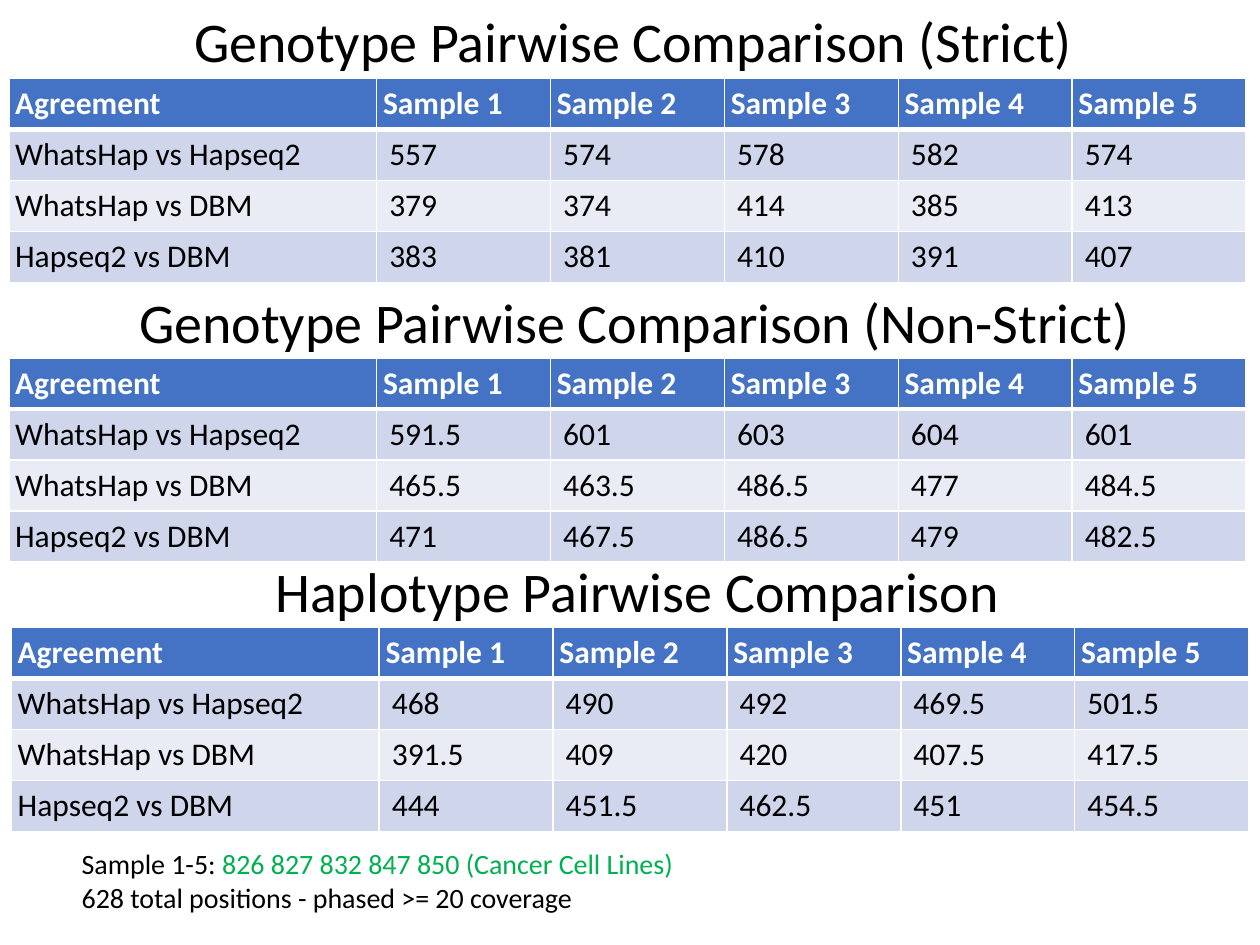
"""Build a slide of three pairwise comparison tables with a sample note."""
from lxml import etree
from pptx import Presentation
from pptx.dml.color import RGBColor
from pptx.enum.text import MSO_AUTO_SIZE, PP_ALIGN
from pptx.oxml.ns import qn
from pptx.util import Inches, Pt

CENTER, LEFT = PP_ALIGN.CENTER, PP_ALIGN.LEFT
FIT_SHAPE = MSO_AUTO_SIZE.SHAPE_TO_FIT_TEXT
BLACK = RGBColor(0x00, 0x00, 0x00)
WHITE = RGBColor(0xFF, 0xFF, 0xFF)
GREEN = RGBColor(0x00, 0xB0, 0x50)
HEADER = RGBColor(0x44, 0x72, 0xC4)
BANDS = [RGBColor(0xE9, 0xEB, 0xF5), RGBColor(0xCF, 0xD5, 0xEA)]

COLUMNS = ["Agreement"] + [f"Sample {n}" for n in range(1, 6)]
PAIRS = ["WhatsHap vs Hapseq2", "WhatsHap vs DBM", "Hapseq2 vs DBM"]
WIDTHS = [2.92] + [1.38] * 5
ROW_HEIGHT = 0.405

SECTIONS = [
    ("Genotype Pairwise Comparison (Strict)", 0.72, 0, 0.07, 0.62, [
        ["557", "574", "578", "582", "574"],
        ["379", "374", "414", "385", "413"],
        ["383", "381", "410", "391", "407"]]),
    ("Genotype Pairwise Comparison (Non-Strict)", 0.73, 2.23, 0.07, 2.84, [
        ["591.5", "601", "603", "604", "601"],
        ["465.5", "463.5", "486.5", "477", "484.5"],
        ["471", "467.5", "486.5", "479", "482.5"]]),
    ("Haplotype Pairwise Comparison", 0.75, 4.37, 0.09, 4.98, [
        ["468", "490", "492", "469.5", "501.5"],
        ["391.5", "409", "420", "407.5", "417.5"],
        ["444", "451.5", "462.5", "451", "454.5"]]),
]
NOTE = [
    [("Sample 1-5: ", BLACK),
     ("826 827 832 847 850 (Cancer Cell Lines)", GREEN)],
    [("628 total positions - phased >= 20 coverage", BLACK)],
]


def add_run(p, text, size, color, bold=False):
    r = p.add_run()
    r.text = text
    r.font.name = "Calibri"
    r.font.size = Pt(size)
    r.font.bold = bold
    r.font.color.rgb = color


def add_text(left, top, lines, size, align):
    sp = s.shapes.add_textbox(Inches(left), Inches(top), Inches(8.62), Inches(0.64))
    tf = sp.text_frame
    tf.word_wrap = True
    tf.auto_size = FIT_SHAPE
    for i, line in enumerate(lines):
        p = tf.add_paragraph() if i else tf.paragraphs[0]
        p.alignment = align
        for text, color in line:
            add_run(p, text, size, color)


prs = Presentation()
prs.slide_width, prs.slide_height = Inches(10), Inches(7.5)
s = prs.slides.add_slide(prs.slide_layouts[6])

for title, title_left, title_top, left, top, values in SECTIONS:
    rows = [COLUMNS] + [[pair] + row for pair, row in zip(PAIRS, values)]
    table = s.shapes.add_table(
        len(rows), len(COLUMNS), Inches(left), Inches(top),
        Inches(sum(WIDTHS)), Inches(ROW_HEIGHT * len(rows))).table
    for column, width in zip(table.columns, WIDTHS):
        column.width = Inches(width)
    for i, row in enumerate(rows):
        table.rows[i].height = Inches(ROW_HEIGHT)
        for j, text in enumerate(row):
            cell = table.cell(i, j)
            if i == 0 or j == 0:
                cell.margin_left = cell.margin_right = Inches(0.05)
            tcPr = cell._tc.get_or_add_tcPr()
            for side in "LRTB":
                thick = (i, side) in [(0, "B"), (1, "T")]
                ln = etree.SubElement(tcPr, qn(f"a:ln{side}"), w=str(Pt(3 if thick else 1)))
                fill = etree.SubElement(ln, qn("a:solidFill"))
                etree.SubElement(fill, qn("a:srgbClr"), val=str(WHITE))
            cell.fill.solid()
            cell.fill.fore_color.rgb = BANDS[i % 2] if i else HEADER
            add_run(cell.text_frame.paragraphs[0], text, 18,
                    BLACK if i else WHITE, bold=i == 0)
    add_text(title_left, title_top, [[(title, BLACK)]], 32, CENTER)

add_text(0.55, 6.67, NOTE, 16, LEFT)

prs.save("out.pptx")
